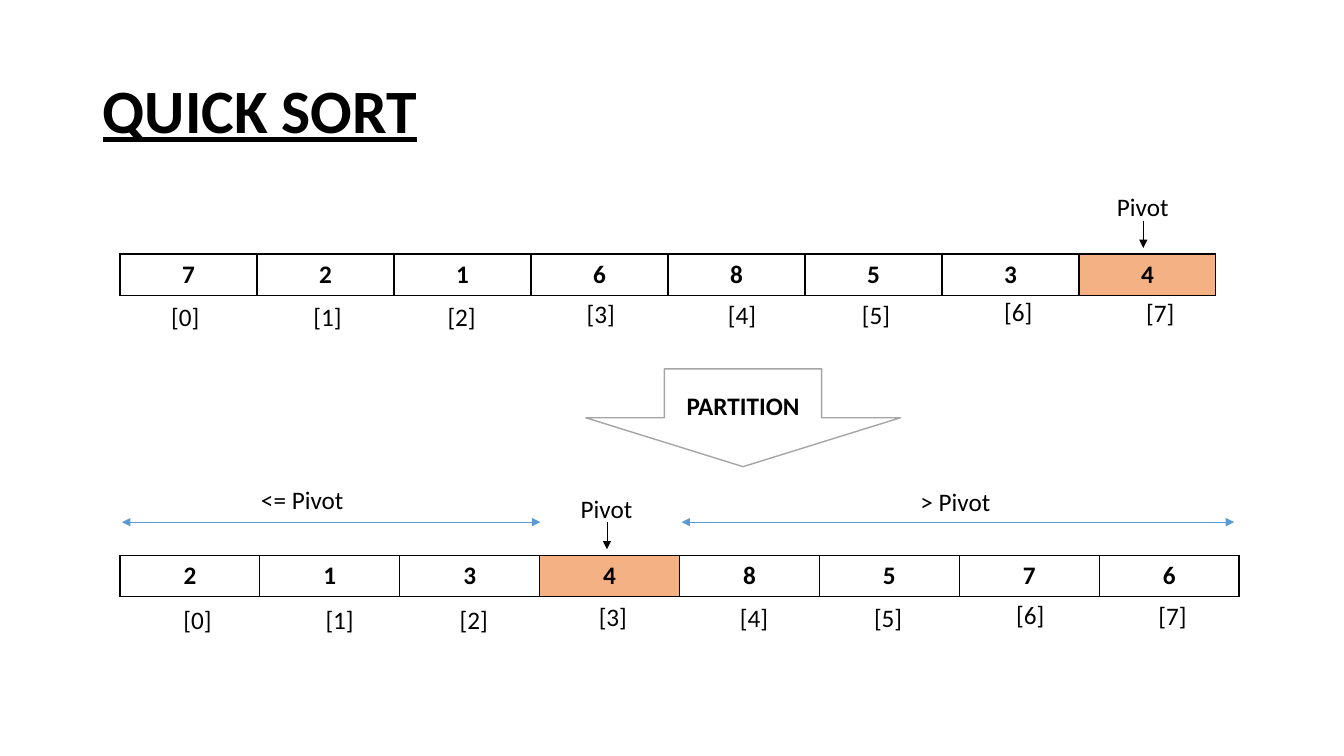
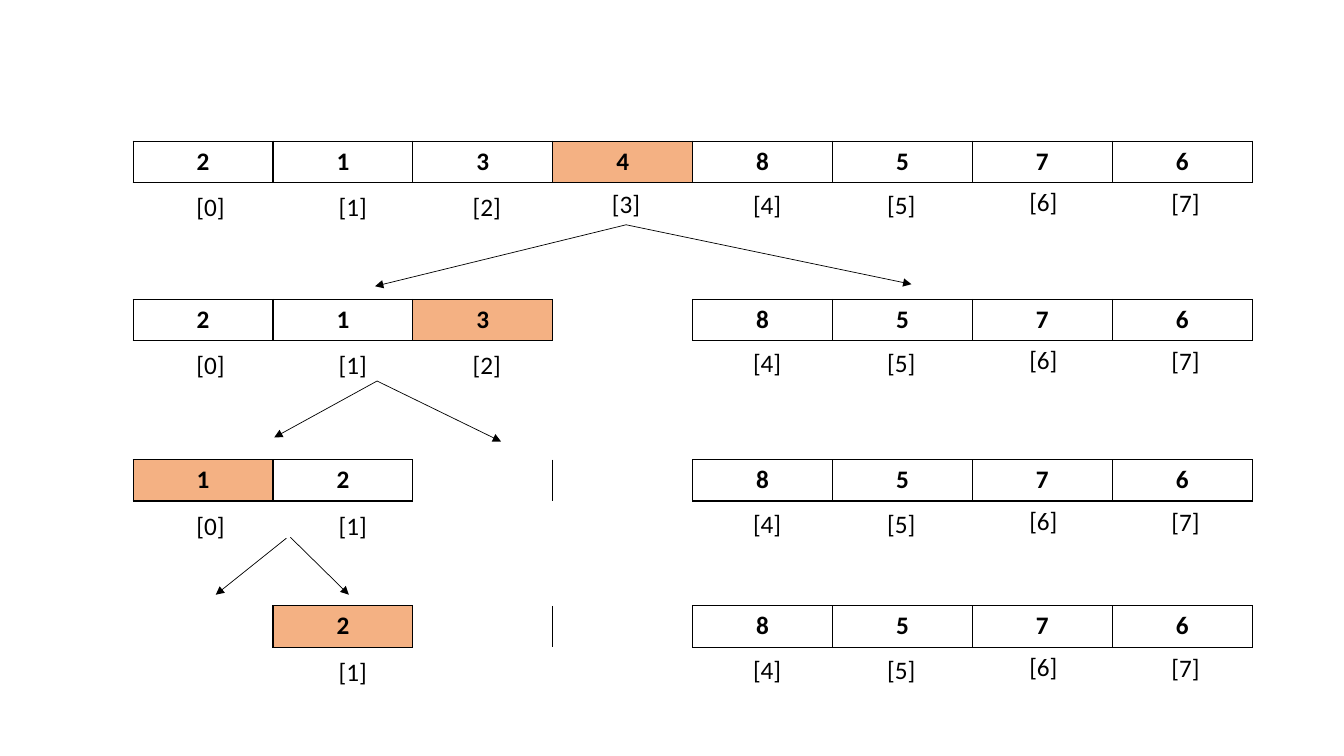
from dataclasses import dataclass

from lxml.etree import SubElement
from pptx import Presentation
from pptx.dml.color import RGBColor
from pptx.enum.shapes import MSO_CONNECTOR, MSO_SHAPE
from pptx.enum.text import MSO_ANCHOR, MSO_AUTO_SIZE, PP_ALIGN
from pptx.oxml.ns import qn
from pptx.util import Inches, Pt


@dataclass(frozen=True)
class Theme:
    font: str = "Calibri"
    title_size: float = 44
    body_size: float = 18
    ink: str = "000000"
    paper: str = "FFFFFF"
    pivot: str = "F4B183"
    span_line: str = "5B9BD5"
    block_line: str = "A5A5A5"
    border: float = 1
    thin: float = 0.5
    plain_table: str = "{2D5ABB26-0587-4C30-8999-92F81FD0307C}"


@dataclass(frozen=True)
class Box:
    left: float
    top: float
    width: float
    height: float

    def lengths(self):
        return [Inches(value) for value in (self.left, self.top, self.width, self.height)]


THEME = Theme()
TITLE = {"size": Pt(THEME.title_size), "bold": True, "underline": True}
STRONG = {"bold": True}
LABEL_HEIGHT = 0.4
ROW_HEIGHT = 0.41
INDEX_WIDTH = 0.48
INDEX_OFFSETS = [
    (0.53, 0.45), (1.94, 0.45), (3.27, 0.45), (4.65, 0.42),
    (6.05, 0.43), (7.38, 0.43), (8.79, 0.40), (10.2, 0.41),
]


def colour(value):
    return RGBColor.from_string(value)


def write(frame, text, formats=None, align=PP_ALIGN.LEFT):
    para = frame.paragraphs[0]
    para.alignment = align
    span = para.add_run()
    span.text = text
    span.font.color.rgb = colour(THEME.ink)
    defaults = {"name": THEME.font, "size": Pt(THEME.body_size)}
    for name, value in (defaults | (formats or {})).items():
        setattr(span.font, name, value)
    return para


def add_label(page, text, left, top, width):
    shape = page.shapes.add_textbox(*Box(left, top, width, LABEL_HEIGHT).lengths())
    shape.text_frame.word_wrap = False
    shape.text_frame.auto_size = MSO_AUTO_SIZE.SHAPE_TO_FIT_TEXT
    write(shape.text_frame, text)


def add_title(page, text, box):
    frame = page.shapes.add_textbox(*box.lengths()).text_frame
    frame.word_wrap = True
    frame.vertical_anchor = MSO_ANCHOR.MIDDLE
    write(frame, text, TITLE).line_spacing = 0.9


def add_arrow(page, start, end, line=THEME.ink, both_ends=False):
    points = [Inches(value) for value in (*start, *end)]
    connector = page.shapes.add_connector(MSO_CONNECTOR.STRAIGHT, *points)
    connector.line.color.rgb = colour(line)
    connector.line.width = Pt(THEME.thin)
    stroke = connector.line._get_or_add_ln()
    for tag in ("a:headEnd", "a:tailEnd") if both_ends else ("a:tailEnd",):
        SubElement(stroke, qn(tag), type="triangle")
    SubElement(connector._element.spPr, qn("a:effectLst"))


def add_border(cell, side):
    stroke = SubElement(
        cell._tc.get_or_add_tcPr(), qn(f"a:ln{side}"), w=str(Pt(THEME.border))
    )
    SubElement(SubElement(stroke, qn("a:solidFill")), qn("a:srgbClr"), val=THEME.ink)


def add_array(page, values, pivot, box, index_shift=(0, 0)):
    table = page.shapes.add_table(1, len(values), *box.lengths()).table
    table.first_row = table.horz_banding = False
    table._tbl.tblPr.find(qn("a:tableStyleId")).text = THEME.plain_table
    used = [False, *(value != " " for value in values), False]
    for position, value in enumerate(values):
        table.columns[position].width = Inches(box.width / len(values))
        cell = table.cell(0, position)
        before, here, after = used[position:position + 3]
        sides = {"L": here or before, "R": here or after, "T": here, "B": here}
        for side, shown in sides.items():
            if shown:
                add_border(cell, side)
        if position == pivot:
            cell.fill.solid()
            cell.fill.fore_color.rgb = colour(THEME.pivot)
        else:
            cell.fill.background()
        if here:
            write(cell.text_frame, value, STRONG, PP_ALIGN.CENTER)
            across, down = (a + b for a, b in zip(INDEX_OFFSETS[position], index_shift))
            add_label(page, f"[{position}]", box.left + across, box.top + down, INDEX_WIDTH)


def add_pivot_pointer(page, left, top):
    width = 0.72
    add_label(page, "Pivot", left, top, width)
    middle = left + width / 2
    add_arrow(page, (middle, top + 0.34), (middle, top + 0.61))


def add_range(page, text, box, label_offset, label_width):
    base = box.top + box.height
    add_arrow(page, (box.left, base), (box.left + box.width, base), THEME.span_line, True)
    add_label(page, text, box.left + label_offset, box.top, label_width)


def add_step(page, text, box):
    shape = page.shapes.add_shape(MSO_SHAPE.DOWN_ARROW, *box.lengths())
    shape.shadow.inherit = False
    shape.fill.solid()
    shape.fill.fore_color.rgb = colour(THEME.paper)
    shape.line.color.rgb = colour(THEME.block_line)
    shape.line.width = Pt(THEME.border)
    shape.text_frame.vertical_anchor = MSO_ANCHOR.MIDDLE
    write(shape.text_frame, text, STRONG, PP_ALIGN.CENTER)


def build_partition(page):
    add_title(page, "QUICK SORT", Box(0.92, 0.4, 11.5, 1.45))
    add_array(page, "72168534", 7, Box(1.19, 2.52, 10.87, ROW_HEIGHT), (-0.12, -0.03))
    add_pivot_pointer(page, 10.98, 1.85)
    add_step(page, "PARTITION", Box(5.81, 3.66, 3.12, 0.97))
    add_array(page, "21348576", 3, Box(1.19, 5.51, 11.1, ROW_HEIGHT), (0, -0.01))
    add_pivot_pointer(page, 5.66, 4.84)
    add_range(page, "<= Pivot", Box(1.21, 4.76, 4.15, 0.42), 1.28, 1.03)
    add_range(page, "> Pivot", Box(6.76, 4.78, 5.48, 0.4), 2.27, 0.9)


def build_recursion(page):
    levels = [
        ("21348576", 3, 1.4),
        ("213 8576", 2, 2.97),
        ("12  8576", 0, 4.56),
        (" 2  8576", 1, 6.01),
    ]
    for values, pivot, top in levels:
        add_array(page, values, pivot, Box(1.32, top, 11.1, ROW_HEIGHT))
    branches = [
        ((6.21, 2.23), (3.72, 2.84)),
        ((6.21, 2.23), (9.04, 2.82)),
        ((3.74, 3.78), (2.72, 4.34)),
        ((3.74, 3.78), (4.97, 4.38)),
        ((2.84, 5.34), (2.14, 5.9)),
        ((2.88, 5.33), (3.46, 5.9)),
    ]
    for start, end in branches:
        add_arrow(page, start, end)


def main():
    deck = Presentation()
    deck.slide_width = Inches(13.33)
    deck.slide_height = Inches(7.5)
    for build in (build_partition, build_recursion):
        build(deck.slides.add_slide(deck.slide_layouts[6]))
    deck.save("out.pptx")


if __name__ == "__main__":
    main()
